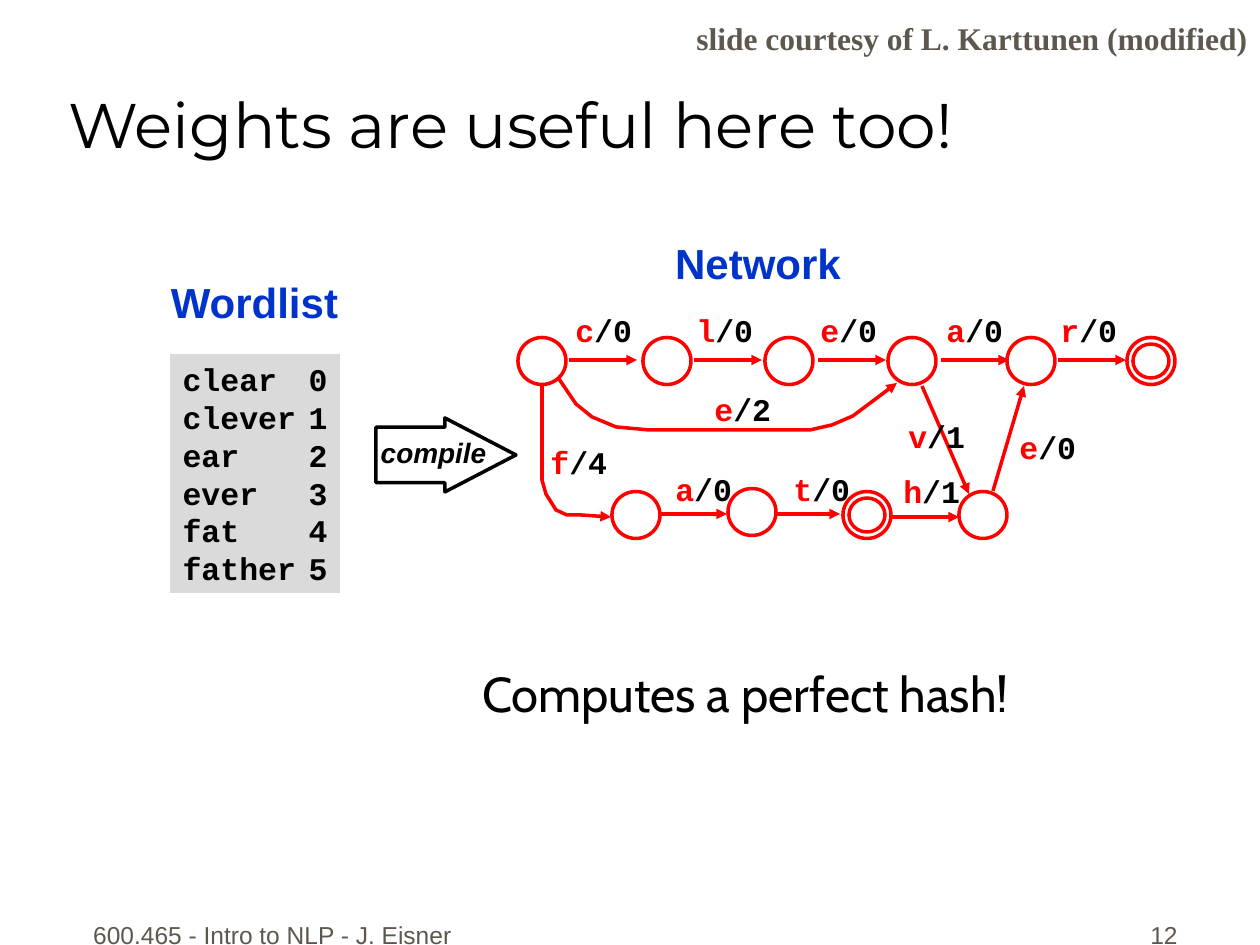
from lxml import etree
from pptx import Presentation
from pptx.dml.color import RGBColor
from pptx.enum.shapes import MSO_CONNECTOR, MSO_SHAPE
from pptx.enum.text import MSO_ANCHOR, MSO_AUTO_SIZE, PP_ALIGN
from pptx.oxml.ns import qn
from pptx.util import Emu, Pt

PX = 914400 / 126
BLACK = RGBColor(0x00, 0x00, 0x00)
RED = RGBColor(0xFF, 0x00, 0x00)
BLUE = RGBColor(0x00, 0x33, 0xCC)
GREY = RGBColor(0xDA, 0xDA, 0xDA)
BROWN = RGBColor(0x5E, 0x57, 0x4E)
LEFT, CENTER, RIGHT = PP_ALIGN.LEFT, PP_ALIGN.CENTER, PP_ALIGN.RIGHT
TOP, MIDDLE, BOTTOM = MSO_ANCHOR.TOP, MSO_ANCHOR.MIDDLE, MSO_ANCHOR.BOTTOM
FIT_SHAPE = MSO_AUTO_SIZE.SHAPE_TO_FIT_TEXT
OVAL, RECTANGLE, RIGHT_ARROW = MSO_SHAPE.OVAL, MSO_SHAPE.RECTANGLE, MSO_SHAPE.RIGHT_ARROW
STRAIGHT = MSO_CONNECTOR.STRAIGHT

WORDS = ["clear", "clever", "ear", "ever", "fat", "father"]
TOP_STATES = [542, 667, 789, 912, 1031, 1151]
STATES = [(x, 361) for x in TOP_STATES] + [(636, 515), (752, 512), (867, 515), (983, 515)]
FINAL_STATES = [(1151, 361), (867, 515)]
TOP_ARROWS = [((x, 360), (x + 68, 360)) for x in (569, 694, 818, 941, 1058)]
OTHER_ARROWS = [
    ((922, 386), (969, 494)),
    ((993, 491), (1024, 386)),
    ((660, 514), (727, 514)),
    ((777, 514), (840, 514)),
    ((891, 517), (959, 517)),
]
CURVES = [
    [(559, 379), (576, 404), (592, 417), (616, 427), (649, 430),
     (810, 430), (832, 425), (853, 416), (869, 404), (897, 383)],
    [(542, 386), (542, 480), (546, 494), (556, 510), (567, 515), (581, 515), (611, 517)],
]
ARC_LABELS = [
    ("c", 0, 563, 305, 98), ("l", 0, 684, 305, 103), ("e", 0, 808, 305, 96),
    ("a", 0, 934, 305, 106), ("r", 0, 1048, 305, 96), ("e", 2, 702, 384, 107),
    ("v", 1, 896, 411, 91), ("e", 0, 1007, 422, 86), ("f", 4, 538, 437, 92),
    ("a", 0, 663, 464, 86), ("t", 0, 781, 464, 101), ("h", 1, 891, 466, 86),
]


def px(*lengths):
    """Turn pixel lengths into EMU."""
    return [Emu(round(length * PX)) for length in lengths]


def set_font(font, name, size, color=None, bold=False, italic=False):
    """Set the look of a font."""
    font.name, font.size, font.bold, font.italic = name, Pt(size), bold, italic
    if color is not None:
        font.color.rgb = color


def add_text(slide, box, text, name, size, color, align=LEFT, anchor=TOP,
             wrap=True, fit=False, **style):
    """Add a text box with one paragraph."""
    frame = slide.shapes.add_textbox(*px(*box)).text_frame
    frame.word_wrap = wrap
    frame.vertical_anchor = anchor
    if fit:
        frame.auto_size = FIT_SHAPE
    paragraph = frame.paragraphs[0]
    paragraph.text = text
    paragraph.alignment = align
    set_font(paragraph.font, name, size, color, **style)


def add_wordlist(slide):
    """Add the grey panel of numbered words."""
    panel = slide.shapes.add_shape(RECTANGLE, *px(170, 354, 170, 239))
    panel.shadow.inherit = False
    panel.fill.solid()
    panel.fill.fore_color.rgb = GREY
    panel.line.fill.background()
    frame = panel.text_frame
    frame.word_wrap = False
    frame.vertical_anchor = TOP
    frame.auto_size = FIT_SHAPE
    for number, word in enumerate(WORDS):
        paragraph = frame.paragraphs[0] if number == 0 else frame.add_paragraph()
        paragraph.text = f"{word}\t{number}"
        paragraph.alignment = CENTER
        tabs = etree.SubElement(paragraph._p.get_or_add_pPr(), qn("a:tabLst"))
        etree.SubElement(tabs, qn("a:tab"), pos=str(px(126)[0]), algn="l")
        set_font(paragraph.font, "Courier New", 18, BLACK, bold=True)


def style_outline(shape, color):
    """Give a shape an outline only."""
    shape.shadow.inherit = False
    shape.fill.background()
    shape.line.color.rgb = color
    shape.line.width = Pt(2)


def add_circle(slide, center, width, height):
    """Add a red circle around a center."""
    x, y = center
    circle = slide.shapes.add_shape(OVAL, *px(x - width / 2, y - height / 2, width, height))
    style_outline(circle, RED)


def add_arrowhead(shape):
    """Put a triangle at the end of a line."""
    line = shape._element.spPr.find(qn("a:ln"))
    etree.SubElement(line, qn("a:tailEnd"), type="triangle")


def add_arrow(slide, start, end):
    """Add a straight red arrow."""
    arrow = slide.shapes.add_connector(STRAIGHT, *px(*start, *end))
    arrow.line.color.rgb = RED
    arrow.line.width = Pt(2)
    add_arrowhead(arrow)
    etree.SubElement(arrow._element.spPr, qn("a:effectLst"))


def add_curve(slide, points):
    """Add a bent red arrow through points."""
    builder = slide.shapes.build_freeform(*points[0], scale=PX)
    builder.add_line_segments(points[1:], close=False)
    curve = builder.convert_to_shape()
    style_outline(curve, RED)
    add_arrowhead(curve)


def add_arc_label(slide, letter, weight, left, top, width):
    """Add a red letter with its black weight."""
    frame = slide.shapes.add_textbox(*px(left, top, width, 50)).text_frame
    frame.word_wrap = True
    frame.auto_size = FIT_SHAPE
    paragraph = frame.paragraphs[0]
    set_font(paragraph.font, "Courier New", 18, bold=True)
    for text, color in ((letter, RED), (f"/{weight}", BLACK)):
        run = paragraph.add_run()
        run.text = text
        run.font.color.rgb = color


def add_network(slide):
    """Add the states, arcs and labels of the network."""
    for center in STATES:
        add_circle(slide, center, 48, 47)
    for center in FINAL_STATES:
        add_circle(slide, center, 36, 34)
    for start, end in TOP_ARROWS + OTHER_ARROWS:
        add_arrow(slide, start, end)
    for points in CURVES:
        add_curve(slide, points)
    for label in ARC_LABELS:
        add_arc_label(slide, *label)


def add_compile_arrow(slide):
    """Add the block arrow and its caption."""
    arrow = slide.shapes.add_shape(RIGHT_ARROW, *px(376, 418, 140, 74))
    arrow.adjustments[0] = 0.75
    arrow.adjustments[1] = 0.96
    style_outline(arrow, BLACK)
    add_text(slide, (368, 429, 131, 45), "compile", "Arial", 16, BLACK, CENTER,
             wrap=False, fit=True, bold=True, italic=True)


def main():
    """Build the slide and save it."""
    presentation = Presentation()
    presentation.slide_width, presentation.slide_height = px(1260, 945)
    slide = presentation.slides.add_slide(presentation.slide_layouts[6])
    add_text(slide, (56, 9, 1162, 158), "Weights are useful here too!",
             "Montserrat", 36, BLACK, anchor=BOTTOM)
    add_text(slide, (630, 0, 630, 63), "slide courtesy of L. Karttunen (modified)",
             "Times New Roman", 18, BROWN, RIGHT, BOTTOM, bold=True)
    add_wordlist(slide)
    for box, heading in (((153, 270, 203, 63), "Wordlist"), ((656, 231, 204, 63), "Network")):
        add_text(slide, box, heading, "Arial", 24, BLUE, CENTER,
                 wrap=False, fit=True, bold=True)
    add_compile_arrow(slide)
    add_network(slide)
    add_text(slide, (438, 657, 614, 72), "Computes a perfect hash!", "Cabin", 28, BLACK,
             CENTER, MIDDLE, wrap=False, fit=True)
    add_text(slide, (73, 893, 399, 63), "600.465 - Intro to NLP - J. Eisner",
             "Arial", 14, BROWN, CENTER, BOTTOM)
    add_text(slide, (928, 893, 262, 63), "12", "Arial", 14, BROWN, RIGHT, BOTTOM)
    presentation.save("out.pptx")


if __name__ == "__main__":
    main()
